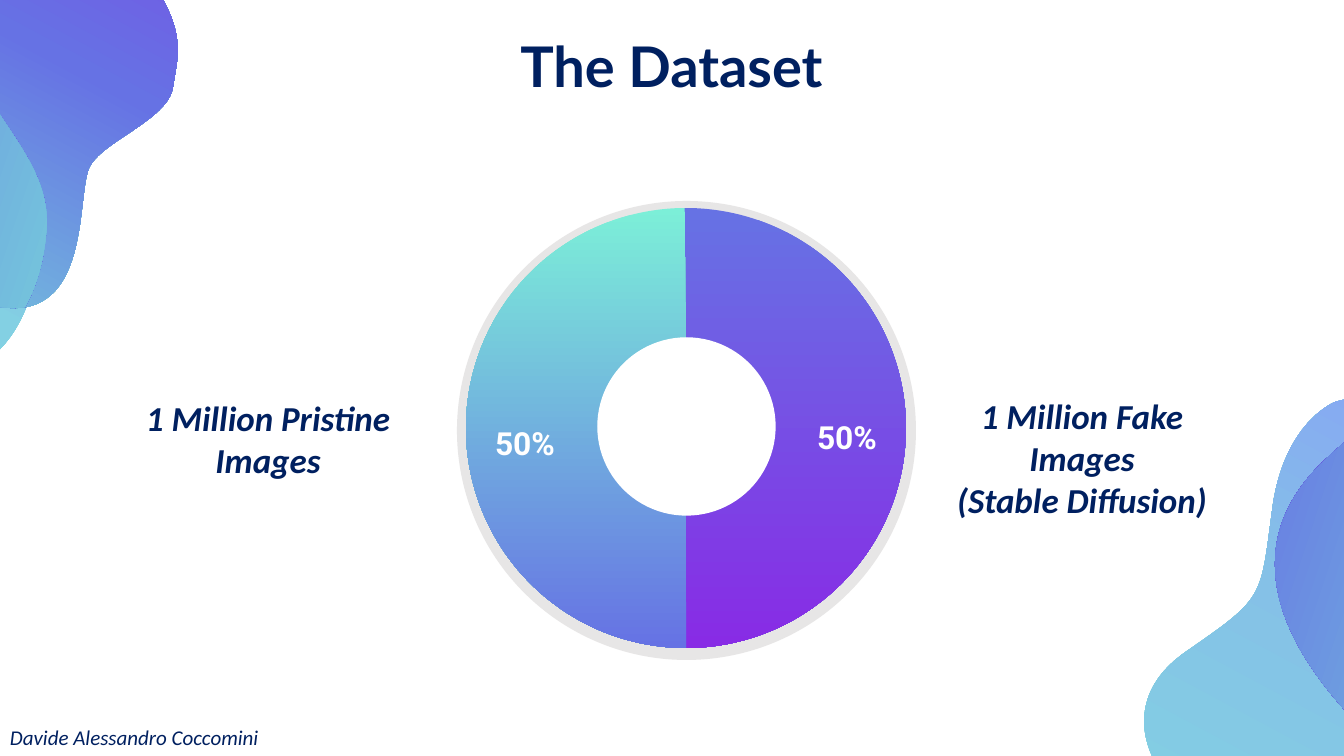
from math import cos, radians, sin

from lxml.etree import SubElement
from pptx import Presentation
from pptx.dml.color import RGBColor
from pptx.enum.shapes import MSO_SHAPE
from pptx.enum.text import MSO_ANCHOR, PP_ALIGN
from pptx.oxml.ns import qn
from pptx.util import Pt

EMU_PER_PX = 914400 / 100.8
BLOB_ROTATION = 208.2
CORNER_SHIFT = (-1423, -617)

NAVY = RGBColor(0x00, 0x20, 0x60)
WHITE = RGBColor(0xFF, 0xFF, 0xFF)
RING_GREY = RGBColor(0xE7, 0xE6, 0xE6)
MINT = RGBColor(0x7C, 0xEF, 0xD8)
INDIGO = RGBColor(0x66, 0x72, 0xE4)
VIOLET = RGBColor(0x88, 0x2B, 0xE5)
AQUA = RGBColor(0x80, 0xDE, 0xDE)
SKY = RGBColor(0x85, 0xC1, 0xE7)
PERIWINKLE = RGBColor(0x87, 0x8C, 0xFF)

BACK_BLOB = [
    (1445, 561),
    (1300, 708), (1477, 752), (1463, 866),
    (1450, 981), (1383, 997), (1358, 986),
    (1333, 976), (1320, 959), (1334, 916),
    (1346, 874), (1267, 841), (1213, 816),
    (1159, 793), (1105, 710), (1184, 653),
    (1265, 597), (1260, 600), (1272, 511),
    (1283, 422), (1335, 402), (1335, 402),
    (1335, 402), (1423, 374), (1465, 438),
    (1507, 503), (1445, 561), (1445, 561),
]
FRONT_BLOB = [
    (1495, 411),
    (1495, 411), (1435, 357), (1327, 458),
    (1218, 558), (1309, 669), (1343, 708),
    (1377, 747), (1383, 758), (1385, 809),
    (1386, 861), (1356, 921), (1434, 925),
    (1513, 928), (1500, 812), (1512, 785),
    (1523, 759), (1591, 737), (1596, 704),
    (1601, 669), (1616, 638), (1541, 559),
    (1541, 559), (1494, 529), (1513, 463),
    (1513, 463), (1521, 423), (1495, 411),
]
OVERLAP_BLOB = [
    (1327, 458),
    (1376, 411), (1415, 398), (1443, 396),
    (1454, 403), (1463, 412), (1471, 424),
    (1513, 489), (1452, 547), (1452, 547),
    (1306, 694), (1483, 738), (1469, 852),
    (1466, 883), (1458, 906), (1448, 924),
    (1444, 925), (1439, 925), (1434, 925),
    (1356, 921), (1386, 861), (1385, 809),
    (1383, 758), (1377, 747), (1343, 708),
    (1309, 669), (1218, 558), (1327, 458),
]
BLOBS = [
    (BACK_BLOB, [(0, AQUA), (54, SKY), (100, PERIWINKLE)], 90),
    (FRONT_BLOB, [(0, MINT), (51, INDIGO), (100, VIOLET)], 90),
    (OVERLAP_BLOB, [(0, VIOLET), (19, INDIGO), (100, MINT)], 170),
]


def px(length):
    """Convert pixels to EMU."""
    return round(length * EMU_PER_PX)


def fill_gradient(shape, stops, angle):
    """Fill a shape with a linear gradient running clockwise from the x axis."""
    shape.fill.gradient()
    gradient = shape.fill._xPr.find(qn("a:gradFill"))
    stop_list = gradient.find(qn("a:gsLst"))
    for old_stop in list(stop_list):
        stop_list.remove(old_stop)
    for position, color in stops:
        stop = SubElement(stop_list, qn("a:gs"), pos=str(position * 1000))
        SubElement(stop, qn("a:srgbClr"), val=str(color))
    gradient.find(qn("a:lin")).set("ang", str(angle * 60000))


def rotate(point, degrees):
    """Turn a point clockwise about the slide's top left corner."""
    x, y = point
    cosine, sine = cos(radians(degrees)), sin(radians(degrees))
    return x * cosine - y * sine, x * sine + y * cosine


def bend_segments(shape):
    """Join each three line segments of a freeform into one cubic curve."""
    segments = list(shape._element.iter(qn("a:lnTo")))
    for first in range(0, len(segments), 3):
        curve, *others = segments[first:first + 3]
        curve.tag = qn("a:cubicBezTo")
        for segment in others:
            curve.append(segment[0])
            segment.getparent().remove(segment)


def add_blob(shapes, points, stops, angle, shift):
    """Add one rotated gradient outline made of cubic curves."""
    placed = [(x + shift[0], y + shift[1]) for x, y in points]
    upright = [rotate(point, -BLOB_ROTATION) for point in placed]
    middle = [(min(values) + max(values)) / 2 for values in zip(*upright)]
    turned_middle = rotate(middle, BLOB_ROTATION)
    origin = [px(after - before) for before, after in zip(middle, turned_middle)]
    outline = [(px(x), px(y)) for x, y in upright]
    builder = shapes.build_freeform(*outline[0])
    builder.add_line_segments(outline[1:], close=False)
    shape = builder.convert_to_shape(*origin)
    bend_segments(shape)
    shape.rotation = BLOB_ROTATION
    shape.shadow.inherit = False
    shape.line.fill.background()
    fill_gradient(shape, stops, angle)


def add_blob_group(slide, shift=(0, 0)):
    """Add the set of overlapping corner blobs."""
    group = slide.shapes.add_group_shape()
    for points, stops, angle in BLOBS:
        add_blob(group.shapes, points, stops, angle, shift)


def add_round(slide, kind, left, top, size, color=None, line=None):
    """Add a preset shape in a square frame."""
    shape = slide.shapes.add_shape(kind, px(left), px(top), px(size), px(size))
    shape.shadow.inherit = False
    if color is not None:
        shape.fill.solid()
        shape.fill.fore_color.rgb = color
    if line is None:
        shape.line.fill.background()
    else:
        shape.line.color.rgb = line
        shape.line.width = Pt(1)
    return shape


def add_half(slide, start, end, colors):
    """Add one half of the dataset ring."""
    half = add_round(slide, MSO_SHAPE.PIE, 466, 208, 440)
    half.adjustments[0] = start
    half.adjustments[1] = end
    fill_gradient(half, list(zip((0, 100), colors)), 90)


def add_text(slide, text, left, top, width, height, *, size, font="Calibri",
             color=NAVY, bold=True, italic=False, align=PP_ALIGN.CENTER,
             anchor=MSO_ANCHOR.TOP, inset=(0, 0), wrap=True):
    """Add a text box with one paragraph per line of text."""
    box = slide.shapes.add_textbox(px(left), px(top), px(width), px(height))
    frame = box.text_frame
    frame.word_wrap = wrap
    frame.vertical_anchor = anchor
    frame.margin_left = frame.margin_right = px(inset[0])
    frame.margin_top = frame.margin_bottom = px(inset[1])
    frame.text = text
    for paragraph in frame.paragraphs:
        paragraph.alignment = align
        for run in paragraph.runs:
            run.font.name = font
            run.font.size = Pt(size)
            run.font.bold = bold
            run.font.italic = italic
            run.font.color.rgb = color


def main():
    """Build the dataset slide."""
    presentation = Presentation()
    presentation.slide_width = px(1344)
    presentation.slide_height = px(756)
    slide = presentation.slides.add_slide(presentation.slide_layouts[6])

    add_round(slide, MSO_SHAPE.OVAL, 457, 201, 459, RING_GREY)
    add_half(slide, 161.71, 53.84, (INDIGO, VIOLET))
    add_half(slide, 53.9, 161.81, (MINT, INDIGO))
    for left, top in ((803, 420), (481, 426)):
        add_text(slide, "50%", left, top, 88, 34, size=22.7, font="Roboto", color=WHITE,
                 anchor=MSO_ANCHOR.MIDDLE, inset=(13, 13), wrap=False)
    add_text(slide, "1 Million Pristine Images", 107, 397, 322, 85, size=25, italic=True)
    add_text(slide, "1 Million Fake\nImages\n(Stable Diffusion)", 921, 395, 322, 127,
             size=25, italic=True)
    add_text(slide, "The Dataset", 193, 32, 957, 67, size=40, font="Lato")
    add_blob_group(slide)
    add_blob_group(slide, CORNER_SHIFT)
    add_round(slide, MSO_SHAPE.OVAL, 598, 338, 177, WHITE, line=WHITE)
    add_text(slide, "Davide Alessandro Coccomini", 0, 720, 973, 35, size=15, bold=False,
             italic=True, align=PP_ALIGN.LEFT, inset=(10, 5))
    presentation.save("out.pptx")


if __name__ == "__main__":
    main()
